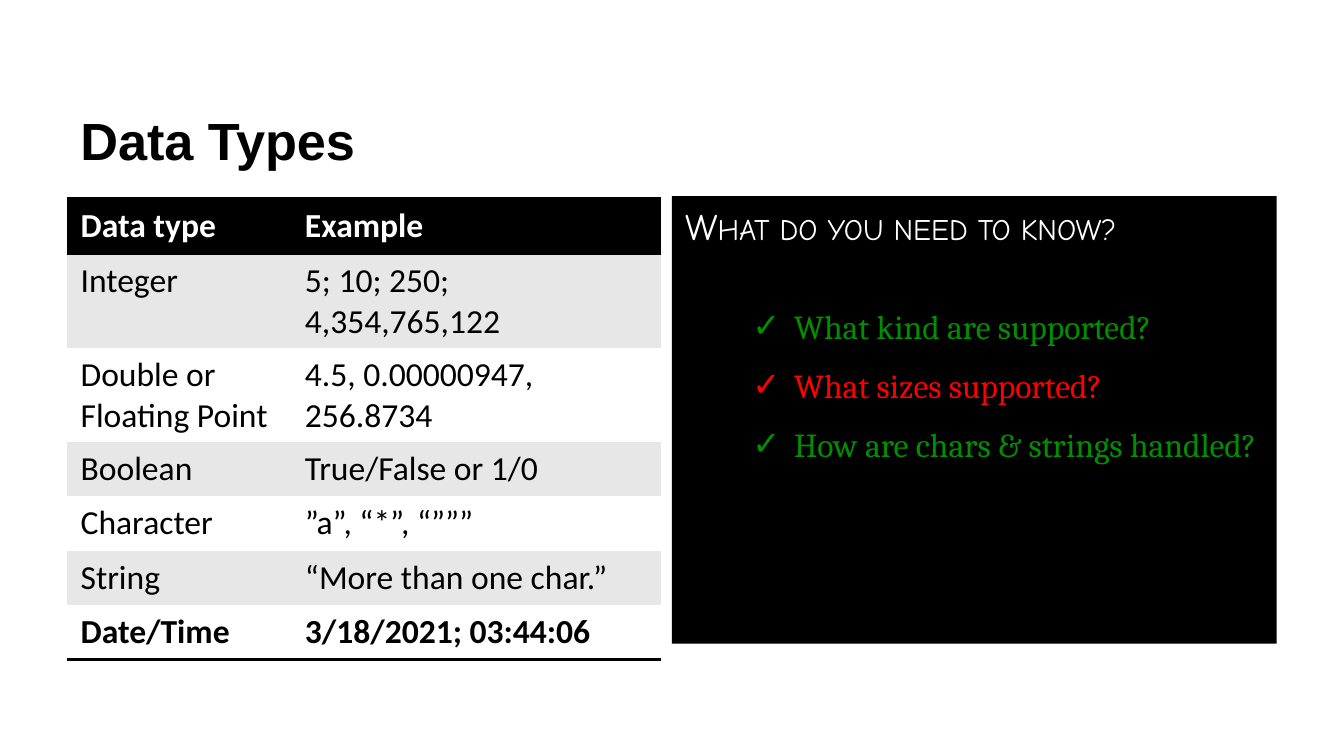
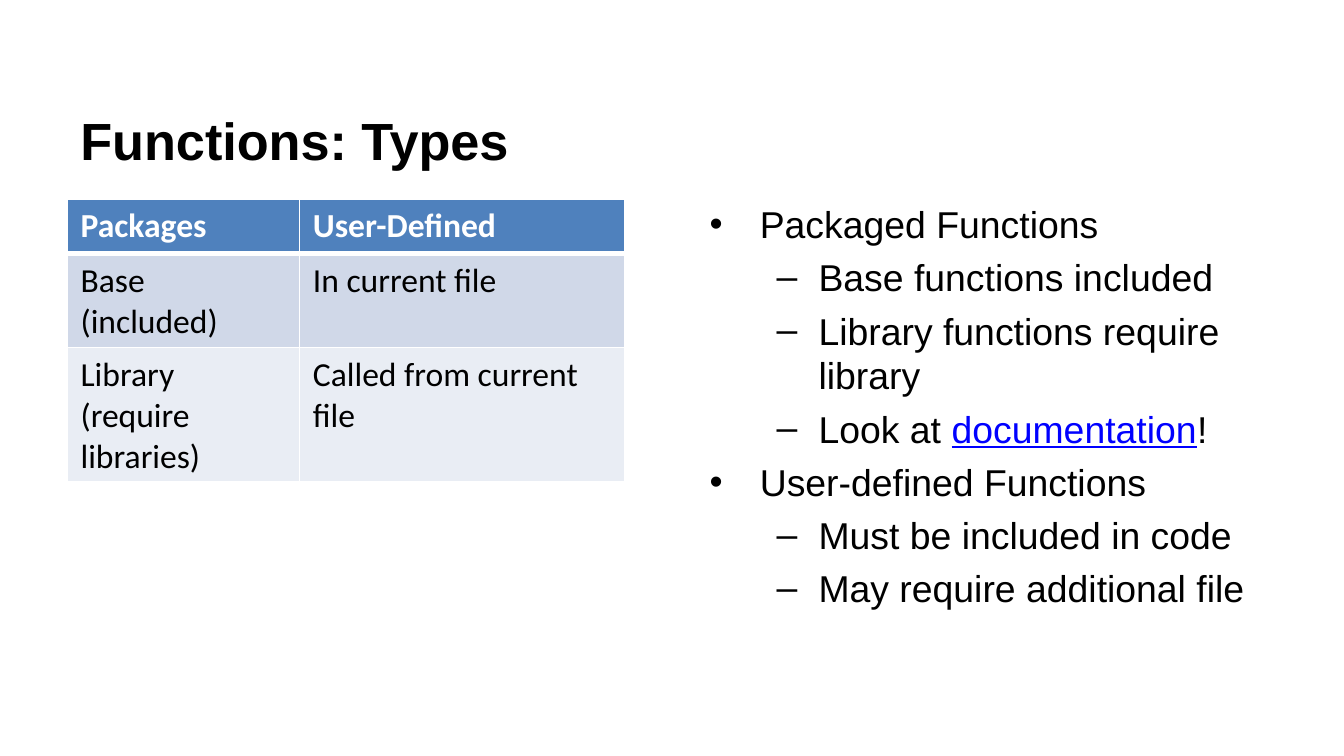
from dataclasses import dataclass

from lxml import etree
from pptx import Presentation
from pptx import util as u
from pptx.dml.color import RGBColor
from pptx.enum import shapes, text
from pptx.oxml.ns import qn

PLAIN_TABLE = "{2D5ABB26-0587-4C30-8999-92F81FD0307C}"


@dataclass(frozen=True)
class Theme:
    black: str = "000000"
    white: str = "FFFFFF"
    grey: str = "E7E7E7"
    blue: str = "4F81BD"
    blue_band: str = "D0D8E8"
    blue_pale: str = "E9EDF4"
    green: str = "008F00"
    red: str = "FF0000"
    link: str = "0000FF"
    heading_font: str = "Arial"
    table_font: str = "Calibri"
    panel_font: str = "Comic Neue"
    check_font: str = "Cambria"
    title_size: int = 28
    body_size: int = 20
    small_size: int = 18


THEME = Theme()


def rgb(value):
    return RGBColor.from_string(value)


def style(font, name, size, color, bold=False):
    font.name = name
    font.size = u.Pt(size)
    font.bold = bold
    font.color.rgb = rgb(color)


def add_bullet(para, mark, left, hang):
    props = para._p.get_or_add_pPr()
    props.set("marL", str(u.Cm(left)))
    props.set("indent", str(-u.Cm(hang)))
    etree.SubElement(props, qn("a:buFont"), typeface="Arial")
    etree.SubElement(props, qn("a:buChar"), char=mark)


def add_textbox(page, left, top, width, height):
    box = page.shapes.add_textbox(u.Cm(left), u.Cm(top), u.Cm(width), u.Cm(height))
    box.text_frame.word_wrap = True
    return box.text_frame


def add_page(deck, title):
    page = deck.slides.add_slide(deck.slide_layouts[6])
    frame = add_textbox(page, 1.27, 1.52, 22.86, 2.24)
    frame.vertical_anchor = text.MSO_ANCHOR.MIDDLE
    para = frame.paragraphs[0]
    para.text = title
    style(para.font, THEME.heading_font, THEME.title_size, THEME.black, True)
    return page


def set_border(cell, side, color, width):
    line = etree.SubElement(cell._tc.get_or_add_tcPr(), qn(f"a:ln{side}"), w=str(u.Pt(width)))
    fill = etree.SubElement(line, qn("a:solidFill"))
    etree.SubElement(fill, qn("a:srgbClr"), val=color)


def add_table(page, rows, widths, head_fill, bands, borders, bold_rows):
    row_height = 1.03
    frame = page.shapes.add_table(
        len(rows), len(widths), u.Cm(1.27), u.Cm(3.76),
        u.Cm(sum(widths)), u.Cm(row_height * len(rows)))
    table = frame.table
    table.horz_banding = False
    table._tbl.tblPr.find(qn("a:tableStyleId")).text = PLAIN_TABLE
    for column, width in zip(table.columns, widths):
        column.width = u.Cm(width)
    for index, values in enumerate(rows):
        table.rows[index].height = u.Cm(row_height)
        fill = bands[(index - 1) % len(bands)] if index else head_fill
        color = THEME.black if index else THEME.white
        for column, value in enumerate(values):
            cell = table.cell(index, column)
            cell.text = value
            for side, line_color, width in borders(index):
                set_border(cell, side, line_color, width)
            cell.fill.solid()
            cell.fill.fore_color.rgb = rgb(fill)
            for para in cell.text_frame.paragraphs:
                style(para.font, THEME.table_font, THEME.small_size, color, index in bold_rows)


def add_question_panel(page, heading, questions):
    panel = page.shapes.add_shape(
        shapes.MSO_SHAPE.RECTANGLE, u.Cm(12.7), u.Cm(3.71), u.Cm(11.43), u.Cm(8.46))
    panel.shadow.inherit = False
    panel.fill.solid()
    panel.fill.fore_color.rgb = rgb(THEME.black)
    panel.line.fill.background()
    frame = panel.text_frame
    frame.word_wrap = True
    frame.vertical_anchor = text.MSO_ANCHOR.TOP
    para = frame.paragraphs[0]
    para.alignment = text.PP_ALIGN.LEFT
    span = para.add_run()
    span.text = heading
    style(span.font, THEME.panel_font, THEME.body_size, THEME.white)
    span.font._element.set("cap", "small")
    for index, (question, color) in enumerate(questions):
        para = frame.add_paragraph()
        para.text = question
        para.level = 1
        para.alignment = text.PP_ALIGN.LEFT
        para.space_before = u.Pt(4 if index else 31)
        para.space_after = u.Pt(6)
        add_bullet(para, "✓", 2.06, 0.79)
        style(para.font, THEME.check_font, THEME.small_size, color)


def add_outline(page, items):
    frame = add_textbox(page, 13.16, 3.68, 11.43, 8.46)
    for index, (level, parts) in enumerate(items):
        para = frame.add_paragraph() if index else frame.paragraphs[0]
        para.level = level
        if index:
            para.space_before = u.Pt(4.5)
        if level:
            add_bullet(para, "–", 2.06, 0.79)
        else:
            add_bullet(para, "•", 0.95, 0.95)
        style(para.font, THEME.heading_font, THEME.body_size, THEME.black)
        for position, part in enumerate(parts):
            span = para.add_run()
            span.text = part
            if position == 1:
                span.font.underline = True
                span.font.color.rgb = rgb(THEME.link)


def build_data_types(deck):
    page = add_page(deck, "Data Types")
    add_question_panel(page, "What do you need to know?", [
        ("What kind are supported?", THEME.green),
        ("What sizes supported?", THEME.red),
        ("How are chars & strings handled?", THEME.green),
    ])
    rows = [
        ("Data type", "Example"),
        ("Integer", "5; 10; 250; 4,354,765,122"),
        ("Double or\nFloating Point", "4.5, 0.00000947, 256.8734"),
        ("Boolean", "True/False or 1/0"),
        ("Character", "”a”, “*”, “”””"),
        ("String", "“More than one char.”"),
        ("Date/Time", "3/18/2021; 03:44:06"),
    ]
    last = len(rows) - 1

    def borders(index):
        sides = {0: "TB", last: "B"}.get(index, "")
        return [(side, THEME.black, 2) for side in sides]

    add_table(page, rows, (4.24, 6.98), THEME.black,
              (THEME.grey, THEME.white), borders, (0, last))


def build_function_types(deck):
    page = add_page(deck, "Functions: Types")
    add_outline(page, [
        (0, ["Packaged Functions"]),
        (1, ["Base functions included"]),
        (1, ["Library functions require library"]),
        (1, ["Look at ", "documentation", "!"]),
        (0, ["User-defined Functions"]),
        (1, ["Must be included in code"]),
        (1, ["May require additional file"]),
    ])
    rows = [
        ("Packages", "User-Defined"),
        ("Base (included)", "In current file"),
        ("Library (require libraries)", "Called from current file"),
    ]

    def borders(index):
        heavy = {0: "B", 1: "T"}.get(index, "")
        return [(side, THEME.white, 3 if side == heavy else 1) for side in "LRTB"]

    add_table(page, rows, (4.39, 6.15), THEME.blue,
              (THEME.blue_band, THEME.blue_pale), borders, (0,))


def main():
    deck = Presentation()
    deck.slide_width = u.Cm(25.4)
    deck.slide_height = u.Cm(14.29)
    build_data_types(deck)
    build_function_types(deck)
    deck.save("out.pptx")


if __name__ == "__main__":
    main()
